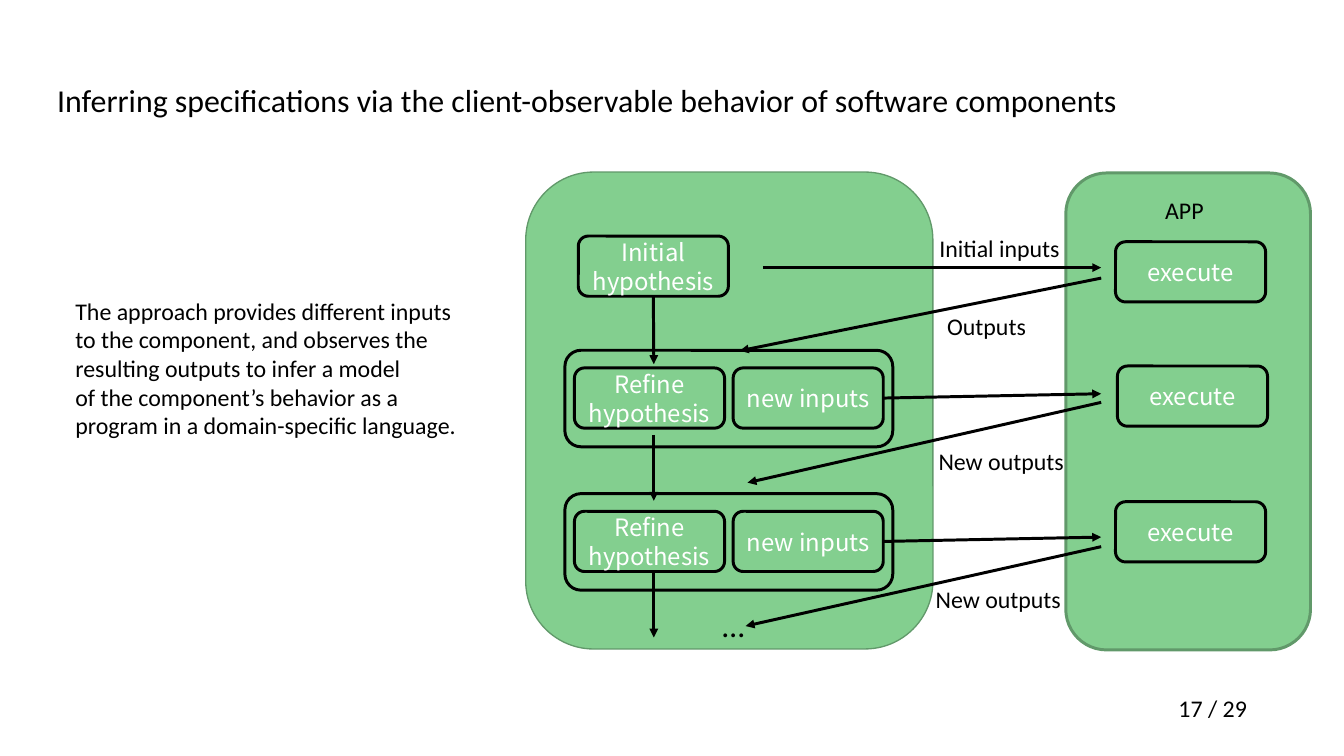
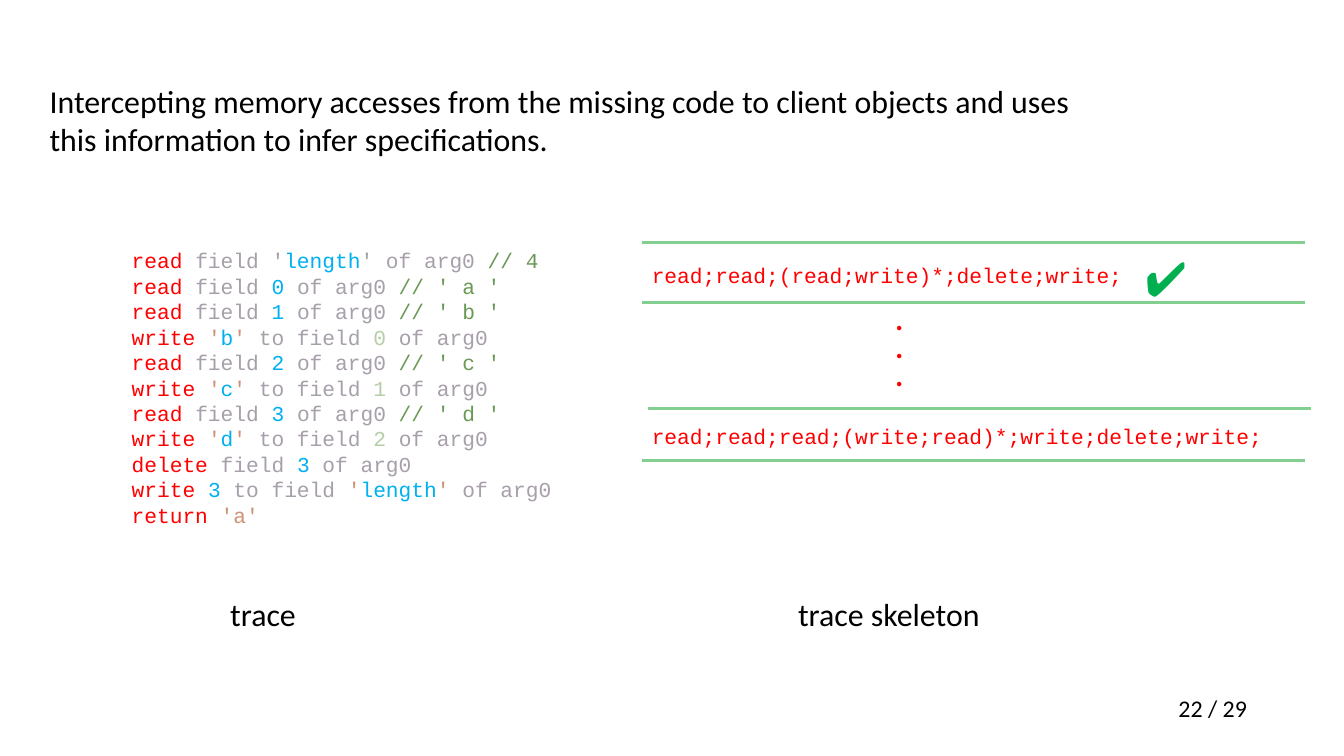
from dataclasses import dataclass

from lxml.etree import SubElement
from pptx import Presentation
from pptx.dml.color import RGBColor
from pptx.enum.shapes import MSO_CONNECTOR, MSO_SHAPE
from pptx.enum.text import MSO_ANCHOR, MSO_AUTO_SIZE, PP_ALIGN
from pptx.oxml.ns import qn
from pptx.util import Inches, Pt


@dataclass(frozen=True)
class Theme:
    text_font: str = "Calibri"
    code_font: str = "Courier New"
    box_font: str = "Noto Sans CJK SC"
    heading: float = 24
    body: float = 18
    code: float = 16
    dot: float = 28
    tick: float = 36
    line: float = 2.25
    box_leading: float = 21.8
    code_leading: float = 19.2
    ink: str = "000000"
    white: str = "FFFFFF"
    panel: str = "83CF8F"
    panel_edge: str = "61996A"
    keyword: str = "FF0000"
    plain: str = "A79FAA"
    value: str = "00B0F0"
    comment: str = "6A9955"
    quote: str = "CE9178"
    index: str = "B5CEA8"
    check: str = "00B050"


theme = Theme()
CELL = Inches(0.1)  # side of one square of the layout grid


def add_text(slide, place, lines, size=theme.body, font=theme.text_font,
             colour=theme.ink, wrap=True, leading=None):
    """Each line is a string, or a list of (text, colour) runs."""
    text_box = slide.shapes.add_textbox(*[round(cells * CELL) for cells in place])
    frame = text_box.text_frame
    frame.word_wrap = wrap
    frame.auto_size = MSO_AUTO_SIZE.SHAPE_TO_FIT_TEXT
    for number, line in enumerate(lines):
        paragraph = frame.add_paragraph() if number else frame.paragraphs[0]
        if leading:
            paragraph.line_spacing = Pt(leading)
        for text, run_colour in [(line, colour)] if isinstance(line, str) else line:
            run = paragraph.add_run()
            run.text = text
            run.font.name = font
            run.font.size = Pt(size)
            run.font.color.rgb = RGBColor.from_string(run_colour)


def add_line(slide, start, end, colour, arrow=False):
    points = [round(cells * CELL) for cells in (*start, *end)]
    connector = slide.shapes.add_connector(MSO_CONNECTOR.STRAIGHT, *points)
    connector.line.width = Pt(theme.line)
    connector.line.color.rgb = RGBColor.from_string(colour)
    if arrow:
        SubElement(connector.line._get_or_add_ln(), qn("a:tailEnd"), type="triangle")
    SubElement(connector._element.spPr, qn("a:effectLst"))
    return connector


presentation = Presentation()
presentation.slide_width = Inches(14.06)
presentation.slide_height = Inches(7.91)

# Page number and title of every slide
headings = [
    ("17 / 29", (5, 8, 115, 5),
     ["Inferring specifications via the client-observable behavior of software components"]),
    ("22 / 29", (4.2, 8, 110.2, 9.1),
     ["Intercepting memory accesses from the missing code to client objects and uses",
      "this information to infer specifications."]),
]
slides = []
for page, title_place, title in headings:
    slide = presentation.slides.add_slide(presentation.slide_layouts[6])
    add_text(slide, (122.3, 72.1, 10.8, 4), [page])
    add_text(slide, title_place, title, theme.heading)
    slides.append(slide)
inference_slide, trace_slide = slides

# Inference loop: panels, frames and steps, from back to front
add_text(inference_slide, (6.9, 30.5, 42.7, 16.2), [
    "The approach provides different inputs to the component, and observes the "
    "resulting outputs to infer a model",
    "of the component’s behavior as a program in a domain-specific language.",
])
STEP = (15.7, 6.3)
FRAME = (34.3, 10.1)
REFINE_ROWS = (38.5, 53.5)
blocks = [
    ("", (111.5, 18.1, 25.6, 49.9), theme.panel_edge, theme.line),
    ("", (55, 18, 42.6, 49.9), theme.panel_edge, 1),
    ("Initial hypothesis", (60.5, 24.7, *STEP), theme.ink, theme.line),
]
for column, row in ((116.7, 25.3), (116.9, 38.3), (116.7, 52.5)):
    blocks.append(("execute", (column, row, *STEP), theme.ink, theme.line))
for row in REFINE_ROWS:
    blocks += [
        ("", (59.1, row - 1.85, *FRAME), theme.ink, theme.line),
        ("Refine hypothesis", (60.1, row, *STEP), theme.ink, theme.line),
        ("new inputs", (76.7, row, *STEP), theme.ink, theme.line),
    ]
new_inputs = []
for text, place, edge, width in blocks:
    block = inference_slide.shapes.add_shape(
        MSO_SHAPE.ROUNDED_RECTANGLE, *[round(cells * CELL) for cells in place])
    block.shadow.inherit = False
    block.fill.solid()
    block.fill.fore_color.rgb = RGBColor.from_string(theme.panel)
    block.line.color.rgb = RGBColor.from_string(edge)
    block.line.width = Pt(width)
    if text:
        block.text_frame.word_wrap = True
        block.text_frame.vertical_anchor = MSO_ANCHOR.MIDDLE
        paragraph = block.text_frame.paragraphs[0]
        paragraph.alignment = PP_ALIGN.CENTER
        paragraph.line_spacing = Pt(theme.box_leading)
        run = paragraph.add_run()
        run.text = text
        run.font.name = theme.box_font
        run.font.size = Pt(theme.body)
        run.font.color.rgb = RGBColor.from_string(theme.white)
    if text == "Initial hypothesis":
        initial = block
    if text == "new inputs":
        new_inputs.append(block)

# Arrows: down the loop, out to the app, and back
APP_SIDE = 115.2
DOWN = 68.4
down_arrows = [add_line(inference_slide, (DOWN, top), (DOWN, top + 6.9), theme.ink, True)
               for top in (31.2, 45.5, 59.8)]
down_arrows[0].begin_connect(initial, 2)
add_line(inference_slide, (79.8, 28), (APP_SIDE, 28), theme.ink, True)
for block, row, target_row in zip(new_inputs, REFINE_ROWS, (41.2, 56.2)):
    outgoing = add_line(inference_slide, (92.4, row + STEP[1] / 2),
                        (APP_SIDE, target_row), theme.ink, True)
    outgoing.begin_connect(block, 3)
for row, target in ((29.1, (77.4, 36.7)), (42.1, (78.2, 50.5)), (57.2, (78, 65.5))):
    add_line(inference_slide, (APP_SIDE, row), target, theme.ink, True)

labels = [
    ("APP", (120.9, 20, 6.1, 4), theme.body, False),
    ("…", (74.6, 62.9, 4.4, 5), theme.heading, False),
    ("Initial inputs", (97.3, 23.9, 14.7, 4), theme.body, False),
    ("Outputs", (98.1, 32.1, 10.3, 4), theme.body, False),
    ("New outputs", (96.9, 60.7, 16.6, 4), theme.body, True),
    ("New outputs", (97.2, 46.2, 16.6, 4), theme.body, True),
]
for text, place, size, wrap in labels:
    add_text(inference_slide, place, [text], size, wrap=wrap)

# Trace: every read but the first is followed by a write one field back
READ, WRITE = ("read ", theme.keyword), ("write ", theme.keyword)
FIELD, TO_FIELD = ("field ", theme.plain), ("to field ", theme.plain)
OF_ARGUMENT = ("of arg0", theme.plain)
OPEN, CLOSE = ("'", theme.quote), ("' ", theme.quote)
trace = [[READ, ("field '", theme.plain), ("length", theme.value),
          ("' of arg0 ", theme.plain), ("// 4", theme.comment)]]
for position, letter in enumerate("abcd"):
    trace.append([READ, FIELD, (f"{position} ", theme.value),
                  ("of arg0 ", theme.plain), (f"// ' {letter} '", theme.comment)])
    if position:
        trace.append([WRITE, OPEN, (letter, theme.value), CLOSE, TO_FIELD,
                      (f"{position - 1} ", theme.index), OF_ARGUMENT])
trace += [
    [("delete ", theme.keyword), FIELD, ("3 ", theme.value), OF_ARGUMENT],
    [WRITE, ("3 ", theme.value), TO_FIELD, OPEN, ("length", theme.value), CLOSE, OF_ARGUMENT],
    [("return ", theme.keyword), ("'a'", theme.quote)],
]
add_text(trace_slide, (12.8, 25.4, 52, 30.6), trace, theme.code, theme.code_font,
         leading=theme.code_leading)
for caption, place in (("trace", (23.1, 61.7, 9, 5)),
                       ("trace skeleton", (82.5, 61.7, 21.2, 5))):
    add_text(trace_slide, place, [caption], theme.heading, wrap=False)

# Trace skeletons between rules
for skeleton, row, width in (
        ("read;read;(read;write)*;delete;write;", 26.9, 52),
        ("read;read;read;(write;read)*;write;delete;write;", 43.8, 66.8)):
    add_text(trace_slide, (67.2, row, width, 3.7), [skeleton], theme.code,
             theme.code_font, theme.keyword, False, theme.code_leading)
for step in range(3):
    add_text(trace_slide, (92.6, 30.2 + 2.95 * step, 3, 5.7), ["."], theme.dot,
             colour=theme.keyword)
for column, row in ((67.2, 25.4), (67.2, 31.7), (67.8, 42.7), (67.2, 48.2)):
    add_line(trace_slide, (column, row), (column + 69.3, row), theme.panel)
add_text(trace_slide, (118.8, 25.5, 7.1, 7.1), ["✔️"], theme.tick,
         colour=theme.check, wrap=False)

presentation.save("out.pptx")
